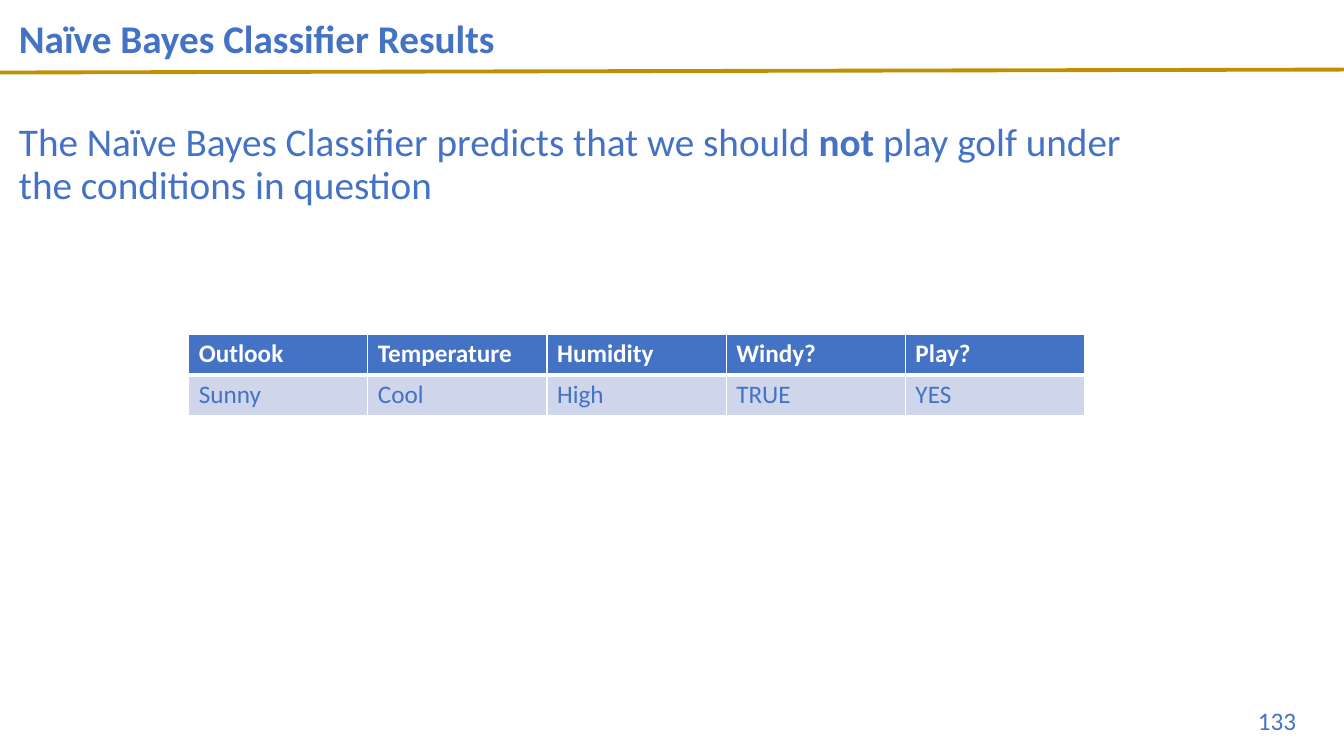
from lxml.etree import SubElement
from pptx import Presentation
from pptx.dml.color import RGBColor
from pptx.enum.shapes import MSO_CONNECTOR
from pptx.enum.text import MSO_ANCHOR, PP_ALIGN
from pptx.oxml.ns import qn
from pptx.util import Pt

BLUE, GOLD, PALE, WHITE = "4472C4", "BF9000", "CFD5EA", "FFFFFF"
FACE = "Calibri"


def tint(code):
    """Turn a hex string into a colour."""
    return RGBColor.from_string(code)


def style(run, size, code=BLUE, bold=False):
    """Set the font of one run."""
    font = run.font
    font.name, font.size, font.bold = FACE, Pt(size), bold
    font.color.rgb = tint(code)


def write(slide, box, parts, size, anchor=MSO_ANCHOR.TOP, align=PP_ALIGN.LEFT, gap=0.9):
    """Write one paragraph of (text, bold) parts in a box."""
    frame = slide.shapes.add_textbox(*map(Pt, box)).text_frame
    frame.word_wrap = True
    frame.vertical_anchor = anchor
    para = frame.paragraphs[0]
    para.alignment, para.line_spacing = align, gap
    for text, bold in parts:
        run = para.add_run()
        run.text = text
        style(run, size, bold=bold)


def header(slide, box, text):
    """Place the title and the gold rule that crosses the slide."""
    left, top, width, height = box
    rule = slide.shapes.add_connector(
        MSO_CONNECTOR.STRAIGHT, Pt(0), Pt(top + 51.8), Pt(960), Pt(top + 49.7))
    rule.line.color.rgb = tint(GOLD)
    rule.line.width = Pt(2.75)
    SubElement(rule._element.spPr, qn("a:effectLst"))
    write(slide, box, [(text, True)], 28, MSO_ANCHOR.MIDDLE)


def edge(cell, side, width):
    """Draw one white border of a cell."""
    line = SubElement(cell._tc.get_or_add_tcPr(), qn(f"a:ln{side}"), w=str(Pt(width)))
    fill = SubElement(line, qn("a:solidFill"))
    SubElement(fill, qn("a:srgbClr"), val=WHITE)


def grid(slide, box, rows):
    """Place a table with a blue head row and pale body rows."""
    left, top, width, height = box
    table = slide.shapes.add_table(len(rows), len(rows[0]), *map(Pt, box)).table
    for col in table.columns:
        col.width = Pt(width / len(rows[0]))
    for i, row in enumerate(rows):
        head = i == 0
        table.rows[i].height = Pt(height / len(rows))
        for j, text in enumerate(row):
            cell = table.cell(i, j)
            cell.text = text
            style(cell.text_frame.paragraphs[0].runs[0], 18, WHITE if head else BLUE, head)
            for side in "LRTB":
                thick = (head and side == "B") or (i == 1 and side == "T")
                edge(cell, side, 3 if thick else 1)
            cell.fill.solid()
            cell.fill.fore_color.rgb = tint(PALE if i else BLUE)


def main():
    """Build the slide and save it."""
    deck = Presentation()
    deck.slide_width, deck.slide_height = Pt(960), Pt(540)
    slide = deck.slides.add_slide(deck.slide_layouts[6])
    header(slide, (6.5, 0, 828, 57.6), "Naïve Bayes Classifier Results")
    write(slide, (717, 500.4, 216, 28.8), [("133", False)], 18, align=PP_ALIGN.RIGHT, gap=1)
    write(slide, (6.5, 84.2, 828, 342.7), [
        ("The Naïve Bayes Classifier predicts that we should ", False),
        ("not", True),
        (" play golf under the conditions in question", False)], 28)
    grid(slide, (134.8, 238.5, 640, 58.4), [
        ("Outlook", "Temperature", "Humidity", "Windy?", "Play?"),
        ("Sunny", "Cool", "High", "TRUE", "YES")])
    deck.save("out.pptx")


if __name__ == "__main__":
    main()
